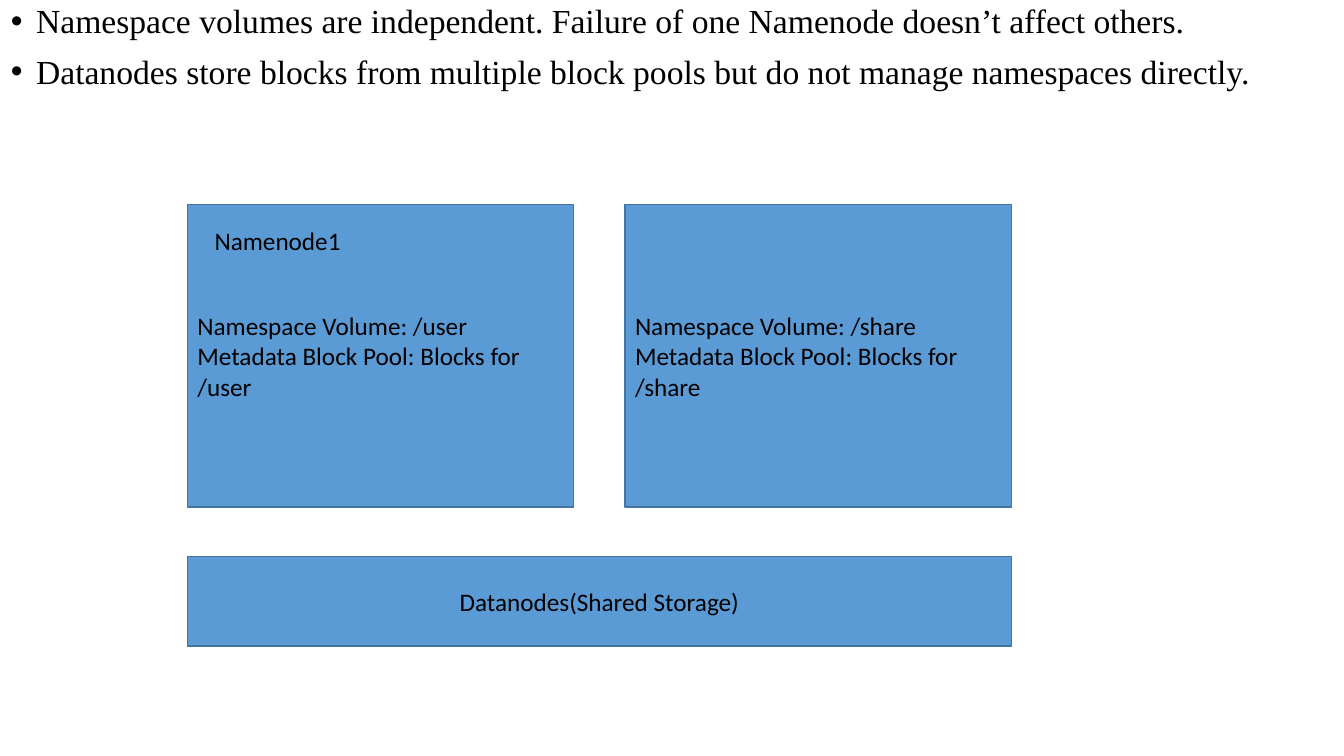
"""Build the slide on independent namespace volumes over shared datanodes."""
from lxml import etree
from pptx import Presentation
from pptx.dml.color import RGBColor
from pptx.enum.shapes import MSO_SHAPE
from pptx.enum.text import MSO_ANCHOR, PP_ALIGN
from pptx.oxml.ns import qn
from pptx.util import Inches, Pt

RECTANGLE = MSO_SHAPE.RECTANGLE
MIDDLE = MSO_ANCHOR.MIDDLE
LEFT, CENTER = PP_ALIGN.LEFT, PP_ALIGN.CENTER

POINTS = [
    "Namespace volumes are independent. Failure of one Namenode doesn’t affect others.",
    "Datanodes store blocks from multiple block pools but do not manage namespaces directly.",
]
VOLUMES = ["/user", "/share"]
VOLUME_TEXT = "Namespace Volume: {0} Metadata Block Pool: Blocks for {0}"
NAMENODE = "Namenode1"
STORAGE = "Datanodes(Shared Storage)"

FILL, OUTLINE, INK = "5B9BD5", "43739E", "000000"
DIAGRAM_LEFT, VOLUME_TOP, STORAGE_TOP = 1.86, 2.03, 5.52
VOLUME_WIDTH, VOLUME_HEIGHT, STORAGE_HEIGHT = 3.83, 3, 0.89
GAP = 0.51
STORAGE_WIDTH = len(VOLUMES) * (VOLUME_WIDTH + GAP) - GAP


def color(value):
    return RGBColor.from_string(value)


def style(paragraph, size, face):
    paragraph.font.size = Pt(size)
    paragraph.font.name = face
    paragraph.font.color.rgb = color(INK)


def add_text(slide, *bounds):
    frame = slide.shapes.add_textbox(*map(Inches, bounds)).text_frame
    frame.word_wrap = True
    return frame


def add_block(slide, text, align, *bounds):
    block = slide.shapes.add_shape(RECTANGLE, *map(Inches, bounds))
    block.shadow.inherit = False
    block.fill.solid()
    block.fill.fore_color.rgb = color(FILL)
    block.line.color.rgb = color(OUTLINE)
    block.line.width = Pt(1)
    frame = block.text_frame
    frame.word_wrap = True
    frame.vertical_anchor = MIDDLE
    frame.text = text
    frame.paragraphs[0].alignment = align
    style(frame.paragraphs[0], 18, "Calibri")


def add_points(slide):
    frame = add_text(slide, 0.01, 0, 13.11, 4.76)
    frame.text = "\n".join(POINTS)
    for index, paragraph in enumerate(frame.paragraphs):
        properties = paragraph._p.get_or_add_pPr()
        properties.set("marL", str(Inches(0.25)))
        properties.set("indent", str(-Inches(0.25)))
        etree.SubElement(properties, qn("a:buFont")).set("typeface", "Arial")
        etree.SubElement(properties, qn("a:buChar")).set("char", "•")
        paragraph.line_spacing = 0.9
        if index:
            paragraph.space_before = Pt(10)
        style(paragraph, 24, "Times New Roman")


def main():
    deck = Presentation()
    deck.slide_width, deck.slide_height = Inches(13.33), Inches(7.5)
    slide = deck.slides.add_slide(deck.slide_layouts[6])
    add_points(slide)
    for index, volume in enumerate(VOLUMES):
        left = DIAGRAM_LEFT + index * (VOLUME_WIDTH + GAP)
        add_block(slide, VOLUME_TEXT.format(volume), LEFT,
                  left, VOLUME_TOP, VOLUME_WIDTH, VOLUME_HEIGHT)
    namenode = add_text(slide, 2.03, 2.19, 3.5, 0.4)
    namenode.text = NAMENODE
    style(namenode.paragraphs[0], 18, "Calibri")
    add_block(slide, STORAGE, CENTER,
              DIAGRAM_LEFT, STORAGE_TOP, STORAGE_WIDTH, STORAGE_HEIGHT)
    deck.save("out.pptx")


if __name__ == "__main__":
    main()
